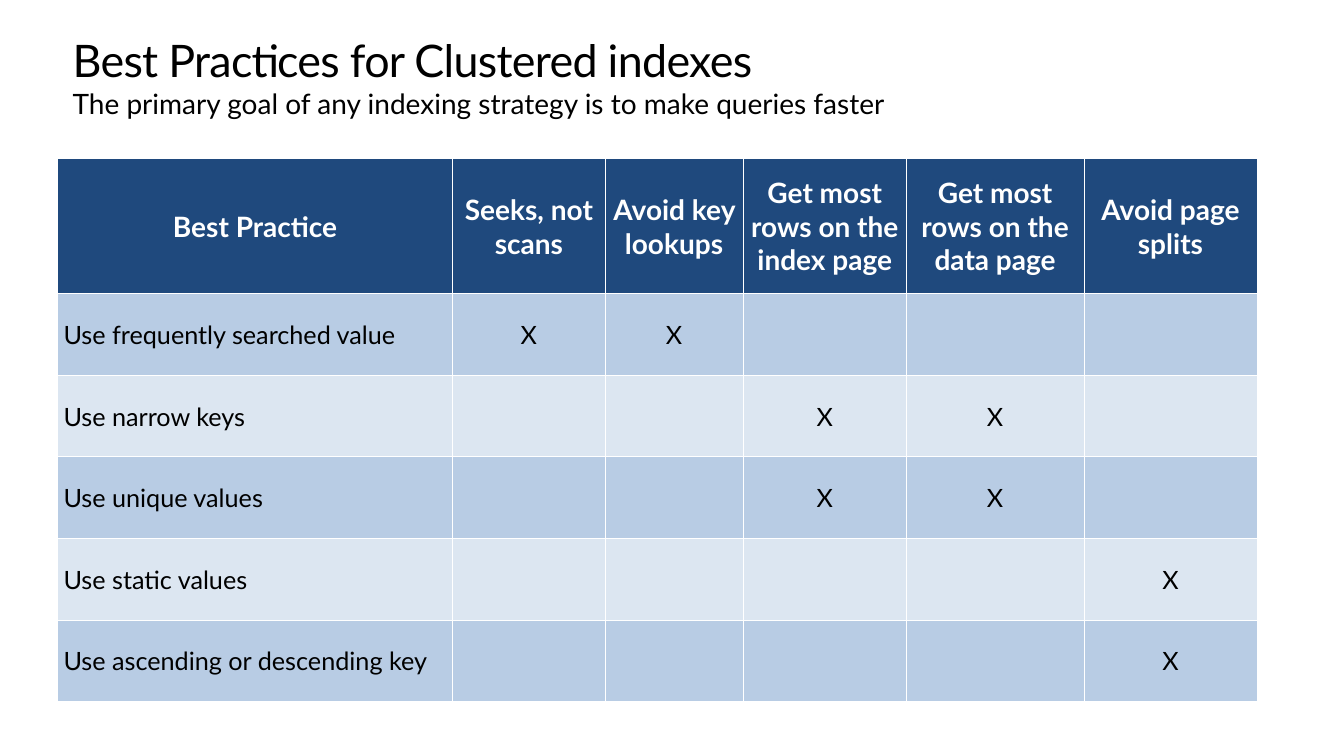
from pptx import Presentation
from pptx import util as u
from pptx.dml.color import RGBColor
from pptx.enum import text
from pptx.oxml import parse_xml
from pptx.oxml.ns import nsdecls

WHITE = RGBColor(0xFF, 0xFF, 0xFF)
BLACK = RGBColor(0, 0, 0)
NAVY = RGBColor(0x1F, 0x49, 0x7D)
BLUE = RGBColor(0xB8, 0xCC, 0xE4)
PALE = RGBColor(0xDC, 0xE6, 0xF1)

HEADINGS = [
    "Best Practice",
    "Seeks, not scans",
    "Avoid key lookups",
    "Get most rows on the index page",
    "Get most rows on the data page",
    "Avoid page splits",
]
PRACTICES = {
    "Use frequently searched value": (1, 2),
    "Use narrow keys": (3, 4),
    "Use unique values": (3, 4),
    "Use static values": (5,),
    "Use ascending or descending key": (5,),
}
COLUMN_SHARES = [29.41, 11.33, 10.28, 12.15, 13.2, 12.9]
ROW_SHARES = [17.87] + [10.8] * len(PRACTICES)


class IndexSlide:
    font = "Lato"
    left_align = text.PP_ALIGN.LEFT
    center = text.PP_ALIGN.CENTER

    def __init__(self, deck):
        self.deck = deck
        self.page = deck.slides.add_slide(deck.slide_layouts[0])

    def across(self, share):
        return round(self.deck.slide_width * share / 100)

    def down(self, share):
        return round(self.deck.slide_height * share / 100)

    def add_words(self, frame, words, size, color, align, bold=False):
        para = frame.paragraphs[0]
        para.alignment = align
        para.space_before = u.Pt(0)
        span = para.add_run()
        span.text = words
        span.font.name = self.font
        span.font.size = u.Pt(size)
        span.font.bold = bold
        span.font.color.rgb = color
        return para, span

    def heading(self, box, words, top, size):
        box.left, box.top = self.across(5.4), self.down(top)
        box.width, box.height = self.across(89.27), self.down(6.67)
        frame = box.text_frame
        frame.margin_left = frame.margin_right = 0
        frame.margin_top = frame.margin_bottom = 0
        frame.vertical_anchor = text.MSO_ANCHOR.TOP
        frame.auto_size = text.MSO_AUTO_SIZE.NONE
        frame.word_wrap = True
        return self.add_words(frame, words, size, BLACK, self.left_align)

    def title(self, words):
        box = self.page.shapes.title
        para, span = self.heading(box, words, 4.67, 32)
        box.fill.solid()
        box.fill.fore_color.rgb = WHITE
        box.text_frame.auto_size = text.MSO_AUTO_SIZE.SHAPE_TO_FIT_TEXT
        para.line_spacing = u.Pt(36.2)
        span.font._element.set("spc", "-50")

    def subtitle(self, words):
        self.heading(self.page.placeholders[1], words, 11.47, 20)

    def cell(self, cell, words, fill, size, color, align, bold):
        cell.margin_left = u.Inches(0.06 if align == self.left_align else 0.01)
        cell.margin_right = cell.margin_top = u.Inches(0.01)
        cell.margin_bottom = 0
        cell.vertical_anchor = text.MSO_ANCHOR.MIDDLE
        if words:
            self.add_words(cell.text_frame, words, size, color, align, bold)
        properties = cell._tc.get_or_add_tcPr()
        for side in ("lnL", "lnR", "lnT", "lnB"):
            properties.append(parse_xml(
                f'<a:{side} {nsdecls("a")} w="{u.Pt(0.5)}"><a:solidFill>'
                f'<a:srgbClr val="{WHITE}"/></a:solidFill></a:{side}>'
            ))
        cell.fill.solid()
        cell.fill.fore_color.rgb = fill

    def table(self, rows, left, top):
        table = self.page.shapes.add_table(
            len(rows), len(COLUMN_SHARES), self.across(left), self.down(top),
            self.across(sum(COLUMN_SHARES)), self.down(sum(ROW_SHARES)),
        ).table
        for column, share in zip(table.columns, COLUMN_SHARES):
            column.width = self.across(share)
        for row, share in zip(table.rows, ROW_SHARES):
            row.height = self.down(share)
        for r, row in enumerate(rows):
            for c, words in enumerate(row):
                if r == 0:
                    style = (NAVY, 20, WHITE, self.center, True)
                else:
                    fill = BLUE if r % 2 else PALE
                    align = self.center if c else self.left_align
                    style = (fill, 18, BLACK, align, False)
                self.cell(table.cell(r, c), words, *style)


def main():
    deck = Presentation()
    deck.slide_width, deck.slide_height = u.Inches(13.33), u.Inches(7.5)
    slide = IndexSlide(deck)
    slide.title("Best Practices for Clustered indexes")
    slide.subtitle("The primary goal of any indexing strategy is to make queries faster")
    rows = [HEADINGS]
    for practice, goals in PRACTICES.items():
        marks = ["X" if c in goals else "" for c in range(1, len(HEADINGS))]
        rows.append([practice] + marks)
    slide.table(rows, 4.28, 20.93)
    deck.save("out.pptx")


if __name__ == "__main__":
    main()
